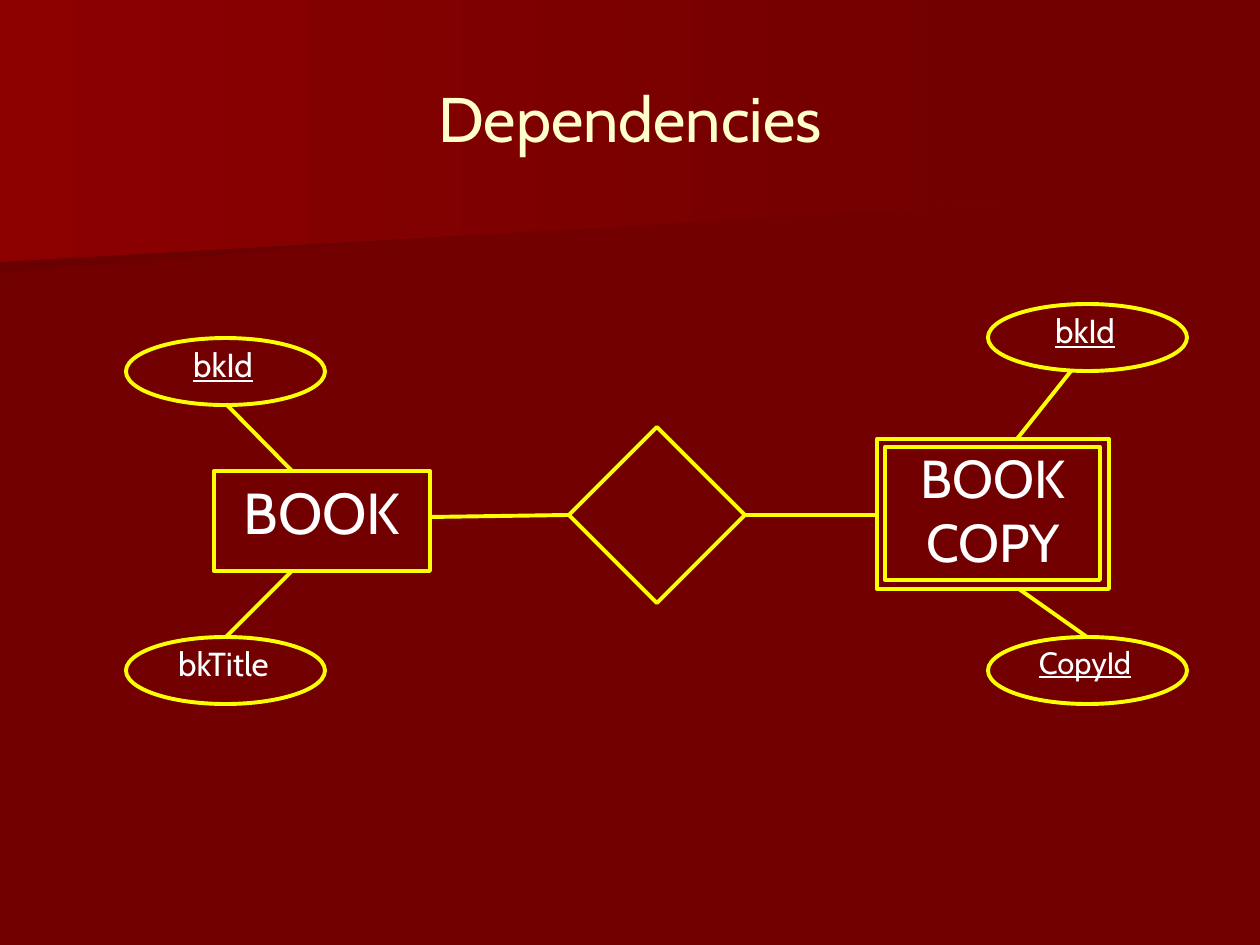
from lxml.etree import SubElement
from pptx import Presentation
from pptx.dml.color import RGBColor
from pptx.enum.shapes import MSO_CONNECTOR, MSO_SHAPE
from pptx.enum.text import MSO_ANCHOR, PP_ALIGN
from pptx.oxml.ns import qn
from pptx.util import Emu, Pt

PX = 914400 / 126
FONT = "Cabin"
YELLOW = "FFFF00"
WHITE = "FFFFFF"
DARK_RED = "720000"
ATTRIBUTE_WIDTH, ATTRIBUTE_HEIGHT = 199, 67


def px(length):
    """Turn pixels into EMU."""
    return Emu(round(length * PX))


def color(hex_value):
    """Turn a hex string into a colour."""
    return RGBColor.from_string(hex_value)


def add_band(slide, points, start):
    """Draw a background band that fades into the dark red."""
    builder = slide.shapes.build_freeform(*points[0], scale=PX)
    builder.add_line_segments(points[1:], close=True)
    band = builder.convert_to_shape()
    band.shadow.inherit = False
    band.line.fill.background()
    band.fill.gradient()
    band.fill.gradient_angle = 0
    for stop, shade in zip(band.fill.gradient_stops, (start, DARK_RED)):
        stop.color.rgb = color(shade)


def write(frame, text, size, shade=WHITE, underline=None, anchor=MSO_ANCHOR.TOP):
    """Fill a text frame with centred text."""
    frame.text = text
    frame.word_wrap = True
    frame.vertical_anchor = anchor
    for paragraph in frame.paragraphs:
        paragraph.alignment = PP_ALIGN.CENTER
        for run in paragraph.runs:
            run.font.name = FONT
            run.font.size = Pt(size)
            run.font.color.rgb = color(shade)
            run.font.underline = underline


def add_label(slide, box, text, size, **style):
    """Add a text box with centred text."""
    label = slide.shapes.add_textbox(*map(px, box))
    write(label.text_frame, text, size, **style)


def add_outline(slide, kind, box):
    """Add an unfilled shape with a yellow outline."""
    outline = slide.shapes.add_shape(kind, *map(px, box))
    outline.shadow.inherit = False
    outline.fill.background()
    outline.line.color.rgb = color(YELLOW)
    outline.line.width = Pt(2.25)
    return outline


def add_entity(slide, box, text, size):
    """Add an entity rectangle with its name."""
    entity = add_outline(slide, MSO_SHAPE.RECTANGLE, box)
    write(entity.text_frame, text, size)


def add_attribute(slide, left, top, text, size=19, label_width=132, underline=None):
    """Add an attribute ellipse with its name, underlined for a key."""
    add_outline(slide, MSO_SHAPE.OVAL, (left, top, ATTRIBUTE_WIDTH, ATTRIBUTE_HEIGHT))
    label_left = left + (ATTRIBUTE_WIDTH - label_width) // 2 - 2
    add_label(slide, (label_left, top, label_width, ATTRIBUTE_HEIGHT), text, size,
              underline=underline)


def add_link(slide, start, end):
    """Join two parts of the diagram with a yellow line."""
    link = slide.shapes.add_connector(MSO_CONNECTOR.STRAIGHT, *map(px, start + end))
    link.line.color.rgb = color(YELLOW)
    link.line.width = Pt(2.25)
    SubElement(link._element.spPr, qn("a:effectLst"))


def main():
    """Build the slide and save it."""
    prs = Presentation()
    prs.slide_width, prs.slide_height = px(1260), px(945)
    slide = prs.slides.add_slide(prs.slide_layouts[6])
    slide.background.fill.solid()
    slide.background.fill.fore_color.rgb = color(DARK_RED)

    add_band(slide, [(980, 193), (0, 273), (0, 127), (982, 127), (980, 161)], "6B0000")
    add_band(slide, [(998, 204), (0, 262), (0, 0), (998, 0)], "8C0000")
    add_label(slide, (63, 38, 1134, 158), "Dependencies", 36, shade="FFFFCC",
              anchor=MSO_ANCHOR.MIDDLE)

    add_entity(slide, (877, 439, 232, 150), "BOOK\nCOPY", 30.5)
    add_outline(slide, MSO_SHAPE.RECTANGLE, (885, 447, 215, 133))
    add_entity(slide, (214, 471, 216, 100), "BOOK", 33)
    add_outline(slide, MSO_SHAPE.DIAMOND, (569, 427, 176, 176))

    add_attribute(slide, 126, 338, "bkId", underline=True)
    add_attribute(slide, 126, 637, "bkTitle", label_width=165)
    add_attribute(slide, 988, 304, "bkId", underline=True)
    add_attribute(slide, 988, 637, "CopyId", size=17.6, underline=True)

    for start, end in [
        ((430, 517), (569, 515)),
        ((745, 515), (877, 515)),
        ((226, 404), (292, 471)),
        ((292, 571), (226, 637)),
        ((1071, 371), (1017, 439)),
        ((1019, 589), (1087, 637)),
    ]:
        add_link(slide, start, end)

    prs.save("out.pptx")


if __name__ == "__main__":
    main()
